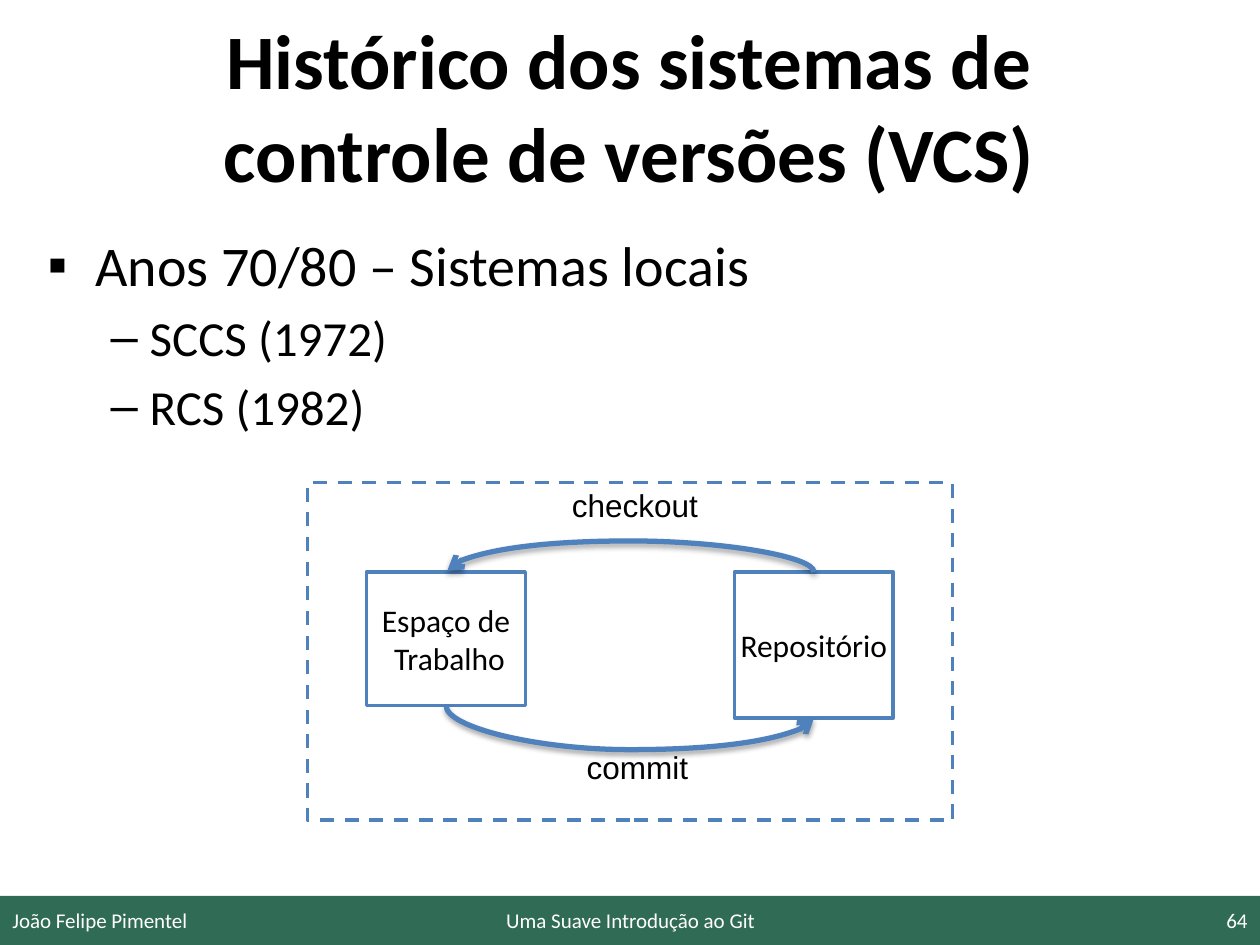
"""Builds a slide on local version control systems with a checkout/commit diagram."""
from lxml.etree import SubElement
from pptx import Presentation
from pptx.dml.color import RGBColor
from pptx.enum.dml import MSO_LINE
from pptx.enum.shapes import MSO_CONNECTOR as Link, MSO_SHAPE as Kind
from pptx.enum.text import MSO_ANCHOR as Anchor, PP_ALIGN as Align
from pptx.oxml.ns import qn
from pptx.util import Inches, Pt

BLUE, GREEN, BLACK, WHITE = "4F81BD", "306B55", "000000", "FFFFFF"
TITLE = "Histórico dos sistemas de controle de versões (VCS)"
ITEMS = [("Anos 70/80 – Sistemas locais", 0), ("SCCS (1972)", 1), ("RCS (1982)", 1)]
LEVELS = [("▪", 0.38, 0.38, 32), ("–", 0.81, 0.31, 28)]
FOOT = [("João Felipe Pimentel", 0, 2.33, Align.LEFT),
        ("Uma Suave Introdução ao Git", 3.42, 3.17, Align.CENTER),
        ("64", 7.67, 2.33, Align.RIGHT)]
BOXES = [(["Repositório"], (5.83, 4.54, 1.26, 1.16)),
         (["Espaço de", " Trabalho"], (2.91, 4.54, 1.26, 1.06))]
LABELS = [("commit", (4.36, 5.84, 1.4, 0.5)), ("checkout", (4.34, 3.76, 1.4, 0.5))]
ARCS = [((3.54, 5.6), (6.46, 5.7), 0.35, "flipH"),
        ((6.46, 4.54), (3.55, 4.53), 0.25, "flipV")]


def tint(code):
    return RGBColor.from_string(code)


def place(shape, area):
    shape.left, shape.top, shape.width, shape.height = map(Inches, area)


def write(para, text, size, color=BLACK, face="Calibri", bold=False):
    run = para.add_run()
    run.text = text
    font = run.font
    font.size, font.name, font.bold = Pt(size), face, bold
    font.color.rgb = tint(color)


def add_text(slide, area, anchor=Anchor.MIDDLE):
    frame = slide.shapes.add_textbox(*map(Inches, area)).text_frame
    frame.word_wrap, frame.vertical_anchor = True, anchor
    return frame


def add_rect(slide, area, fill=None, line=None):
    shape = slide.shapes.add_shape(Kind.RECTANGLE, *map(Inches, area))
    shape.shadow.inherit = False
    if fill:
        shape.fill.solid()
        shape.fill.fore_color.rgb = tint(fill)
    else:
        shape.fill.background()
    if line:
        shape.line.color.rgb = tint(line)
        shape.line.width = Pt(2)
    else:
        shape.line.fill.background()
    return shape


def add_items(slide):
    frame = add_text(slide, (0.28, 1.78, 9.45, 5.04), Anchor.TOP)
    for i, (text, level) in enumerate(ITEMS):
        mark, left, hang, size = LEVELS[level]
        para = frame.add_paragraph() if i else frame.paragraphs[0]
        para.level = level
        if i:
            para.space_before = Pt(size * 0.2)
        props = para._p.get_or_add_pPr()
        props.set("marL", str(Inches(left)))
        props.set("indent", str(-Inches(hang)))
        SubElement(props, qn("a:buFont"), typeface="Arial")
        SubElement(props, qn("a:buChar"), char=mark)
        write(para, text, size)


def add_arc(slide, start, end, bulge, flip):
    (x1, y1), (x2, y2) = start, end
    drop, span = abs(y2 - y1), abs(x2 - x1)
    arc = slide.shapes.add_connector(Link.CURVE, 0, 0, 0, 0)
    place(arc, ((x1 + x2 - drop) / 2, (y1 + y2 - span) / 2, drop, span))
    arc.line.color.rgb = tint(BLUE)
    arc.line.width = Pt(3)
    props = arc._element.spPr
    frame = props.find(qn("a:xfrm"))
    frame.set("rot", str(270 * 60000))
    frame.set(flip, "1")
    guides = props.find(qn("a:prstGeom")).get_or_add_avLst()
    SubElement(guides, qn("a:gd"), name="adj1", fmla=f"val {round(bulge / drop * 100000)}")
    SubElement(arc.line._get_or_add_ln(), qn("a:tailEnd"), type="arrow")
    effects = SubElement(props, qn("a:effectLst"))
    shade = SubElement(effects, qn("a:outerShdw"), blurRad=str(Pt(3.1)), dist=str(Pt(1.8)),
                       dir=str(90 * 60000), rotWithShape="0")
    color = SubElement(shade, qn("a:srgbClr"), val=BLACK)
    SubElement(color, qn("a:alpha"), val="35000")


def add_diagram(slide):
    for lines, area in BOXES:
        frame = add_rect(slide, area, WHITE, BLUE).text_frame
        frame.word_wrap, frame.vertical_anchor = False, Anchor.MIDDLE
        para = frame.paragraphs[0]
        para.alignment = Align.CENTER
        for i, line in enumerate(lines):
            if i:
                para.add_line_break()
            write(para, line, 18)
    for arc in ARCS:
        add_arc(slide, *arc)
    for text, area in LABELS:
        para = add_text(slide, area).paragraphs[0]
        para.alignment = Align.CENTER
        write(para, text, 18, face="Arial")
    add_rect(slide, (2.44, 3.83, 5.12, 2.68), line=BLUE).line.dash_style = MSO_LINE.DASH


def main():
    deck = Presentation()
    deck.slide_width, deck.slide_height = Inches(10), Inches(7.5)
    slide = deck.slides.add_slide(deck.slide_layouts[5])
    title = slide.shapes.title
    place(title, (1, 0.21, 7.99, 1.25))
    title.text_frame.vertical_anchor = Anchor.MIDDLE
    head = title.text_frame.paragraphs[0]
    head.alignment = Align.CENTER
    write(head, TITLE, 44, bold=True)
    add_rect(slide, (0, 7.11, 10, 0.39), GREEN)
    add_items(slide)
    for text, left, width, align in FOOT:
        para = add_text(slide, (left, 7.1, width, 0.4)).paragraphs[0]
        para.alignment = align
        write(para, text, 12, WHITE)
    add_diagram(slide)
    deck.save("out.pptx")


if __name__ == "__main__":
    main()
